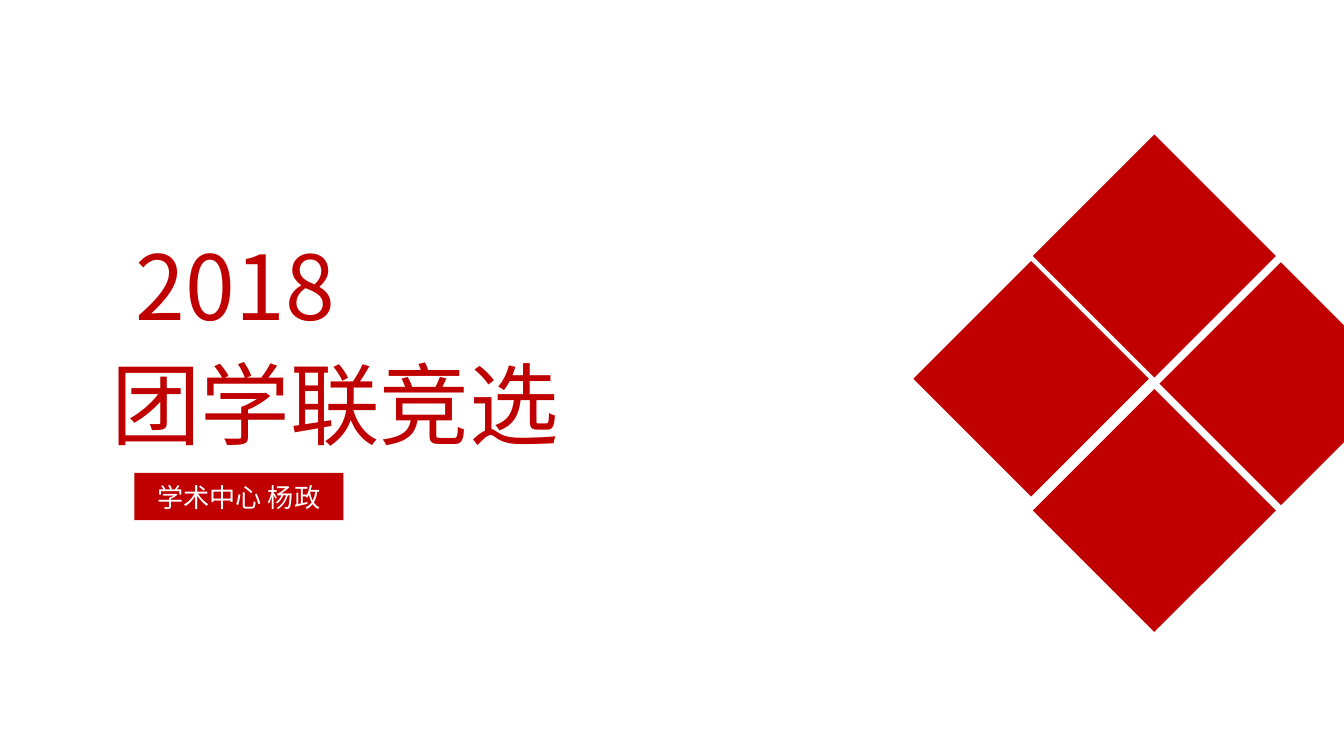
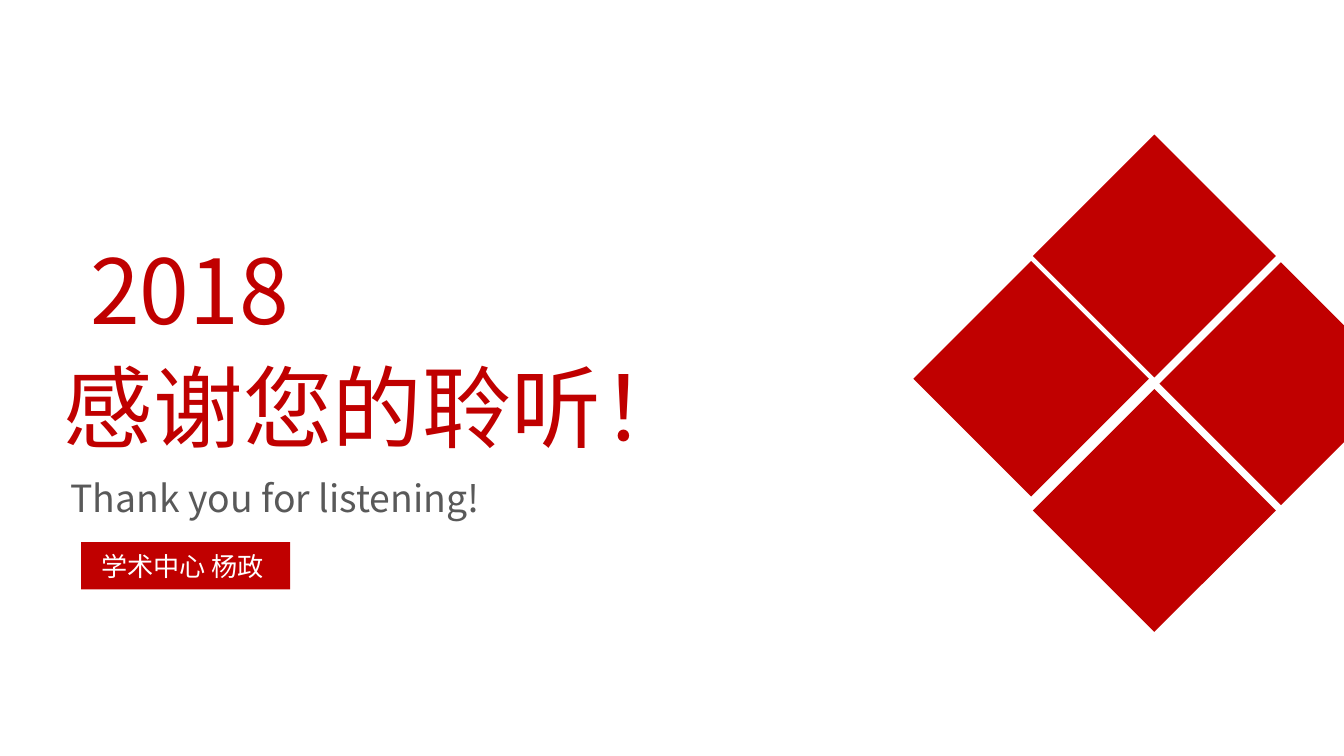
from lxml.etree import SubElement
from pptx import Presentation
from pptx.dml.color import RGBColor
from pptx.enum.shapes import MSO_SHAPE
from pptx.enum.text import MSO_ANCHOR, MSO_AUTO_SIZE, PP_ALIGN
from pptx.oxml.ns import qn
from pptx.util import Pt

RED, GREY, WHITE = "C00000", "595959", "FFFFFF"
FONT = "Noto Sans CJK SC"
# Centre x, centre y and side of each diamond
DIAMONDS = [
    (552.4, 203, 89.2),
    (686.2, 205.6, 92),
    (618.4, 273.5, 92),
    (618.4, 137.2, 92),
]


def color(hex_code):
    return RGBColor.from_string(hex_code)


class Deck:
    def __init__(self):
        self.prs = Presentation()
        self.prs.slide_width, self.prs.slide_height = Pt(720), Pt(405)
        self.slide = None

    def new_slide(self):
        self.slide = self.prs.slides.add_slide(self.prs.slide_layouts[6])
        background = self.slide.background.fill
        background.solid()
        background.fore_color.rgb = color(WHITE)

    def rectangle(self, left, top, width, height, rotation=0):
        rect = self.slide.shapes.add_shape(
            MSO_SHAPE.RECTANGLE, Pt(left), Pt(top), Pt(width), Pt(height))
        rect.shadow.inherit = False
        rect.fill.solid()
        rect.fill.fore_color.rgb = color(RED)
        rect.line.fill.background()
        rect.rotation = rotation
        return rect

    def run(self, paragraph, text, size, hex_code):
        """Add a run whose Latin and East Asian fonts are both FONT."""
        run = paragraph.add_run()
        run.text = text
        run.font.size = Pt(size)
        run.font.color.rgb = color(hex_code)
        run.font.name = FONT
        SubElement(run.font._element, qn("a:ea"), typeface=FONT)

    def badge(self, left, top, text):
        frame = self.rectangle(left, top, 112, 25.3).text_frame
        frame.vertical_anchor = MSO_ANCHOR.MIDDLE
        paragraph = frame.paragraphs[0]
        paragraph.alignment = PP_ALIGN.CENTER
        before = SubElement(paragraph._p.get_or_add_pPr(), qn("a:spcBef"))
        SubElement(before, qn("a:spcPct"), val="20000")
        self.run(paragraph, text, 14, WHITE)

    def heading(self, left, top, width, text, height=63.4, size=48, hex_code=RED):
        box = self.slide.shapes.add_textbox(Pt(left), Pt(top), Pt(width), Pt(height))
        frame = box.text_frame
        frame.word_wrap = False
        frame.auto_size = MSO_AUTO_SIZE.SHAPE_TO_FIT_TEXT
        frame.margin_left = frame.margin_right = Pt(5)
        frame.margin_top = frame.margin_bottom = Pt(2.7)
        frame.paragraphs[0].alignment = PP_ALIGN.RIGHT
        self.run(frame.paragraphs[0], text, size, hex_code)

    def diamonds(self):
        for x, y, side in DIAMONDS:
            self.rectangle(x - side / 2, y - side / 2, side, side, rotation=45)


def build_cover(deck):
    deck.new_slide()
    deck.badge(72, 253.4, "学术中心 杨政")
    deck.heading(51.1, 184.3, 253.4, "团学联竞选")
    deck.heading(59.8, 121, 124.6, "2018")
    deck.diamonds()


def build_closing(deck):
    deck.new_slide()
    deck.badge(43.4, 290.4, "学术中心 杨政 ")
    deck.heading(25.2, 185.8, 350, "感谢您的聆听！")
    deck.heading(35.3, 123.1, 124.6, "2018")
    deck.diamonds()
    deck.heading(25.2, 252, 236.9, "Thank you for listening!",
                 height=29.5, size=20, hex_code=GREY)


def main():
    deck = Deck()
    build_cover(deck)
    build_closing(deck)
    deck.prs.save("out.pptx")


if __name__ == "__main__":
    main()
